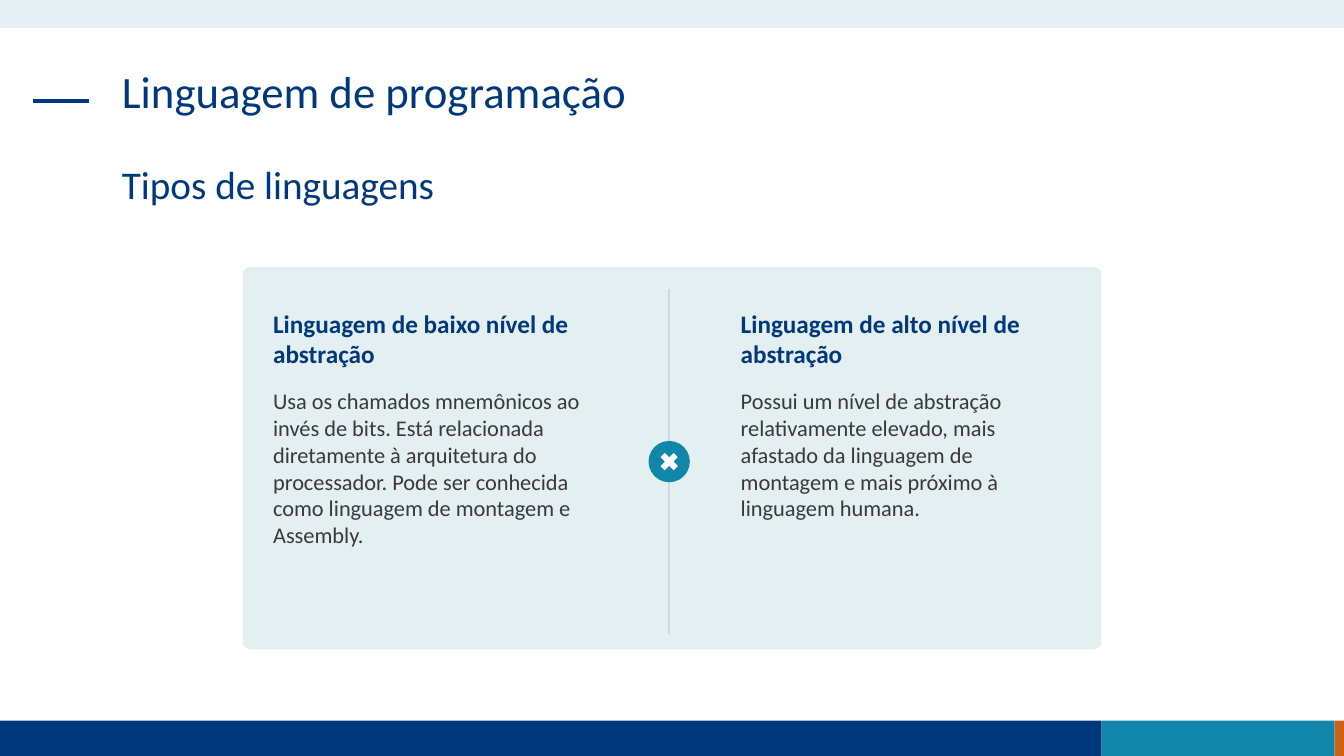
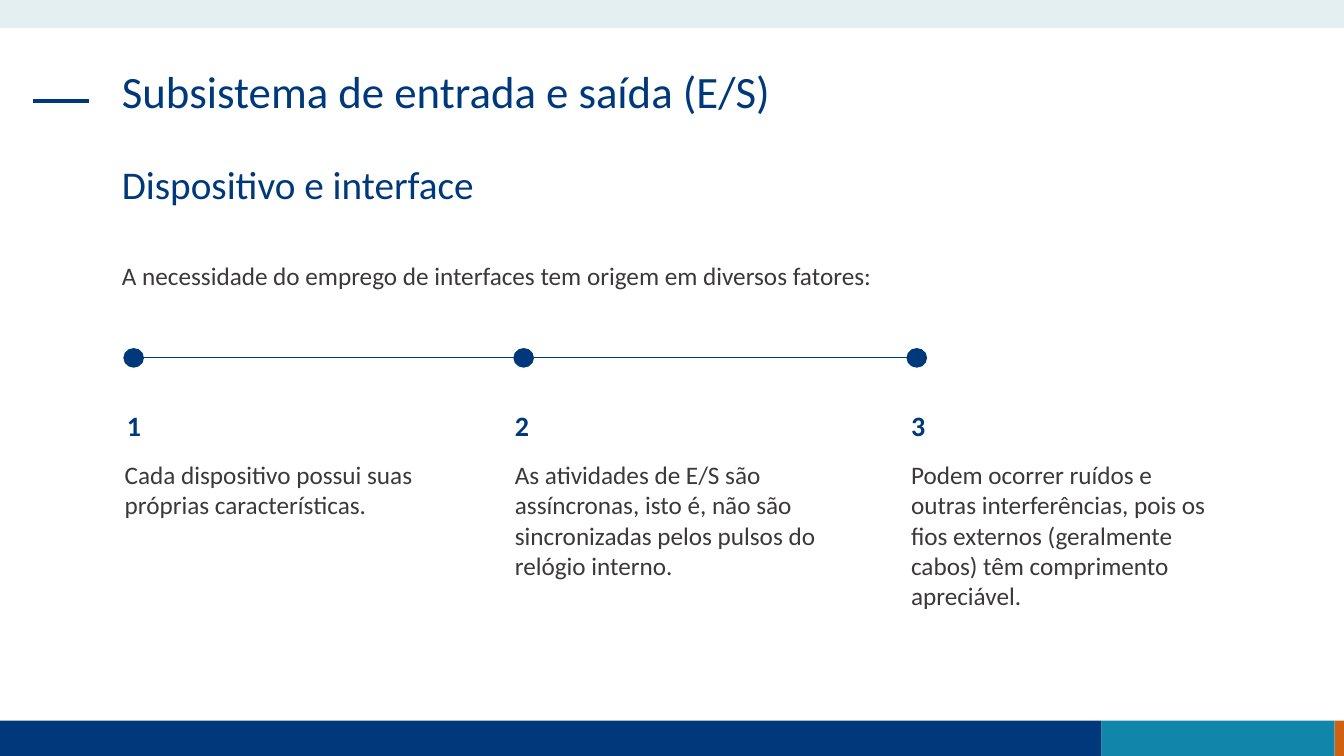
from lxml import etree
from pptx import Presentation
from pptx.dml.color import RGBColor
from pptx.enum.shapes import MSO_CONNECTOR, MSO_SHAPE
from pptx.enum.text import MSO_ANCHOR
from pptx.oxml.ns import qn
from pptx.util import Pt

RECT = MSO_SHAPE.RECTANGLE
ROUNDED = MSO_SHAPE.ROUNDED_RECTANGLE
OVAL = MSO_SHAPE.OVAL
CROSS = MSO_SHAPE.MATH_MULTIPLY
STRAIGHT = MSO_CONNECTOR.STRAIGHT
TOP = MSO_ANCHOR.TOP

NAVY = RGBColor(0x00, 0x39, 0x7B)
TEAL = RGBColor(0x11, 0x85, 0xAA)
ORANGE = RGBColor(0xD0, 0x61, 0x10)
PALE = RGBColor(0xE3, 0xEF, 0xF1)
DIVIDER = RGBColor(0xC4, 0xDD, 0xE1)
CHARCOAL = RGBColor(0x3B, 0x38, 0x38)
WHITE = RGBColor(0xFF, 0xFF, 0xFF)

FONT = "Calibri"
SLIDE_W, SLIDE_H = 960, 540
FOOTER_H = 25.2
HEADING_X, HEADING_W, HEADING_H = 80, 799, 68

STYLES = {
    "title": {"size": Pt(32), "bold": False, "color": NAVY, "spacing": 0.9},
    "subtitle": {"size": Pt(28), "bold": False, "color": NAVY, "spacing": 0.9},
    "number": {"size": Pt(20), "bold": True, "color": NAVY, "spacing": 1.0},
    "card heading": {"size": Pt(18), "bold": True, "color": NAVY, "spacing": 1.0},
    "body": {"size": Pt(18), "bold": False, "color": CHARCOAL, "spacing": 1.0},
    "card body": {"size": Pt(16), "bold": False, "color": CHARCOAL, "spacing": 1.0},
}

LANGUAGES = [
    (188, "Linguagem de baixo nível de abstração",
     "Usa os chamados mnemônicos ao invés de bits. Está relacionada "
     "diretamente à arquitetura do processador. Pode ser conhecida como "
     "linguagem de montagem e Assembly."),
    (522, "Linguagem de alto nível de abstração",
     "Possui um nível de abstração relativamente elevado, mais afastado da "
     "linguagem de montagem e mais próximo à linguagem humana."),
]

FACTORS = [
    (88.6, 83.5, 82, "Cada dispositivo possui suas próprias características."),
    (367.2, 360.7, 360.7,
     "As atividades de E/S são assíncronas, isto é, não são sincronizadas "
     "pelos pulsos do relógio interno."),
    (648, 643.7, 643.7,
     "Podem ocorrer ruídos e outras interferências, pois os fios externos "
     "(geralmente cabos) têm comprimento apreciável."),
]


def add_block(slide, kind, x, y, w, h, fill, outline=None):
    block = slide.shapes.add_shape(kind, Pt(x), Pt(y), Pt(w), Pt(h))
    block.shadow.inherit = False
    block.fill.solid()
    block.fill.fore_color.rgb = fill
    if outline is None:
        block.line.fill.background()
    else:
        block.line.color.rgb = outline
        block.line.width = Pt(1)
    return block


def add_rule(slide, x1, y1, x2, y2, color, width):
    rule = slide.shapes.add_connector(STRAIGHT, Pt(x1), Pt(y1), Pt(x2), Pt(y2))
    rule.line.color.rgb = color
    rule.line.width = Pt(width)
    etree.SubElement(rule.element.spPr, qn("a:effectLst"))


def add_text(slide, x, y, w, h, text, style_name):
    style = STYLES[style_name]
    frame = slide.shapes.add_textbox(Pt(x), Pt(y), Pt(w), Pt(h)).text_frame
    frame.word_wrap = True
    frame.vertical_anchor = TOP
    paragraph = frame.paragraphs[0]
    paragraph.line_spacing = style["spacing"]
    run = paragraph.add_run()
    run.text = text
    run.font.name = FONT
    run.font.color.rgb = style["color"]
    for name in ("size", "bold"):
        setattr(run.font, name, style[name])


def add_framed_slide(prs, title, subtitle):
    slide = prs.slides.add_slide(prs.slide_layouts[6])
    for left, right, color in ((0, 787, NAVY), (787, 953.4, TEAL),
                               (953.4, SLIDE_W, ORANGE)):
        add_block(slide, RECT, left, SLIDE_H - FOOTER_H, right - left, FOOTER_H, color)
    add_block(slide, RECT, 0, 0, SLIDE_W, 20, PALE)
    add_rule(slide, 23.6, 72, 63.6, 72, NAVY, 3)
    for y, text, style_name in ((46, title, "title"), (114.4, subtitle, "subtitle")):
        add_text(slide, HEADING_X, y, HEADING_W, HEADING_H, text, style_name)
    return slide


def add_centered(slide, kind, center_x, center_y, size, fill):
    add_block(slide, kind, center_x - size / 2, center_y - size / 2, size, size, fill)


def build_languages(prs):
    slide = add_framed_slide(prs, "Linguagem de programação", "Tipos de linguagens")
    card = add_block(slide, ROUNDED, 173.4, 190.8, 613.4, 273, PALE)
    card.adjustments[0] = 0.019
    for x, heading, description in LANGUAGES:
        add_text(slide, x, 216.7, 245.5, 51, heading, "card heading")
        add_text(slide, x, 273, 245.5, 124, description, "card body")
    center_x, center_y = 478, 329.7
    add_rule(slide, center_x, 206.6, center_x, 452.9, DIVIDER, 1.5)
    add_centered(slide, OVAL, center_x, center_y, 29.5, TEAL)
    add_centered(slide, CROSS, center_x, center_y, 18, WHITE)


def build_factors(prs):
    slide = add_framed_slide(prs, "Subsistema de entrada e saída (E/S)",
                             "Dispositivo e interface")
    add_text(slide, HEADING_X, 182.2, 631, 29,
             "A necessidade do emprego de interfaces tem origem em diversos fatores:",
             "body")
    add_rule(slide, 95.8, 255.6, 661.7, 255.6, NAVY, 0.5)
    for number, (dot_x, number_x, text_x, text) in enumerate(FACTORS, 1):
        add_block(slide, OVAL, dot_x, 249.1, 13.7, 13, NAVY, NAVY)
        add_text(slide, number_x, 288, 236, 31.5, str(number), "number")
        add_text(slide, text_x, 324.7, 236, 116.6, text, "body")


def main():
    prs = Presentation()
    prs.slide_width = Pt(SLIDE_W)
    prs.slide_height = Pt(SLIDE_H)
    build_languages(prs)
    build_factors(prs)
    prs.save("out.pptx")


if __name__ == "__main__":
    main()
